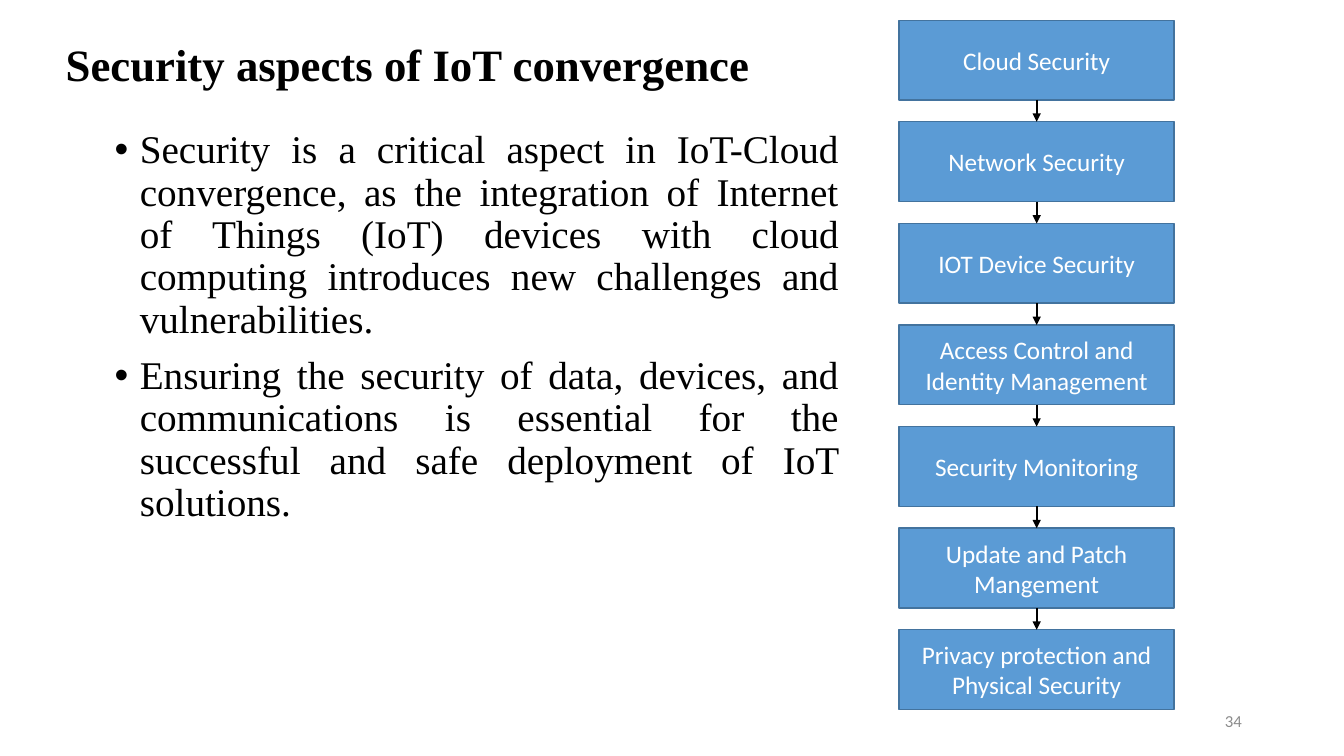
"""Build a slide on the security aspects of IoT convergence."""
from itertools import pairwise

from lxml import etree
from pptx import Presentation
from pptx import util as u
from pptx.dml.color import RGBColor
from pptx.enum import shapes, text
from pptx.oxml.ns import qn

TITLE = "Security aspects of IoT convergence"
POINTS = [
    "Security is a critical aspect in IoT-Cloud convergence, as the integration of "
    "Internet of Things (IoT) devices with cloud computing introduces new challenges "
    "and vulnerabilities.",
    "Ensuring the security of data, devices, and communications is essential for the "
    "successful and safe deployment of IoT solutions.",
]
LAYERS = [
    "Cloud Security",
    "Network Security",
    "IOT Device Security",
    "Access Control and Identity Management",
    "Security Monitoring",
    "Update and Patch Mangement",
    "Privacy protection and Physical Security",
]
PAGE = "34"
COLORS = {"ink": "000000", "box": "5B9BD5", "edge": "43739E", "label": "FFFFFF", "page": "8C8C8C"}
SERIF, SANS = "Times New Roman", "Calibri"

TITLE_AREA = (1.4, 0.23, 29.21, 2.92)
POINTS_AREA = (2.64, 3.15, 18.75, 12.09)
PAGE_AREA = (23.93, 17.65, 7.62, 1.02)
LAYER_LEFT, LAYER_TOP, LAYER_WIDTH, LAYER_HEIGHT = 22.66, 0.51, 6.93, 2.01
LAYER_PITCH = 2.56


def color(name):
    return RGBColor.from_string(COLORS[name])


def area(*lengths):
    return [u.Cm(length) for length in lengths]


def style(paragraph, size, face, ink, align, bold=False):
    paragraph.alignment = align
    for run in paragraph.runs:
        run.font.size = u.Pt(size)
        run.font.name = face
        run.font.bold = bold
        run.font.color.rgb = color(ink)


def add_bullet(paragraph):
    properties = paragraph._p.get_or_add_pPr()
    properties.set("marL", str(u.Cm(0.635)))
    properties.set("indent", str(u.Cm(-0.635)))
    etree.SubElement(properties, qn("a:buFont")).set("typeface", "Arial")
    etree.SubElement(properties, qn("a:buChar")).set("char", "•")


def add_title(slide):
    title = slide.shapes.title
    title.left, title.top, title.width, title.height = area(*TITLE_AREA)
    frame = title.text_frame
    frame.text = TITLE
    frame.auto_size = text.MSO_AUTO_SIZE.NONE
    frame.vertical_anchor = text.MSO_ANCHOR.MIDDLE
    frame.paragraphs[0].line_spacing = 0.9
    style(frame.paragraphs[0], 32, SERIF, "ink", text.PP_ALIGN.LEFT, bold=True)


def add_points(slide):
    frame = slide.shapes.add_textbox(*area(*POINTS_AREA)).text_frame
    frame.word_wrap = True
    frame.text = "\n".join(POINTS)
    for point in frame.paragraphs:
        point.line_spacing = 0.9
        point.space_before = u.Pt(10)
        style(point, 28, SERIF, "ink", text.PP_ALIGN.JUSTIFY)
        add_bullet(point)


def add_page(slide):
    frame = slide.shapes.add_textbox(*area(*PAGE_AREA)).text_frame
    frame.word_wrap = True
    frame.vertical_anchor = text.MSO_ANCHOR.MIDDLE
    frame.text = PAGE
    style(frame.paragraphs[0], 12, SANS, "page", text.PP_ALIGN.RIGHT)


def add_layer(slide, label, top):
    layer = slide.shapes.add_shape(
        shapes.MSO_SHAPE.RECTANGLE, *area(LAYER_LEFT, top, LAYER_WIDTH, LAYER_HEIGHT))
    layer.shadow.inherit = False
    layer.fill.solid()
    layer.fill.fore_color.rgb = color("box")
    layer.line.color.rgb = color("edge")
    layer.line.width = u.Pt(1)
    frame = layer.text_frame
    frame.word_wrap = True
    frame.vertical_anchor = text.MSO_ANCHOR.MIDDLE
    frame.text = label
    style(frame.paragraphs[0], 18, SANS, "label", text.PP_ALIGN.CENTER)
    return layer


def add_arrow(slide, upper, lower):
    arrow = slide.shapes.add_connector(shapes.MSO_CONNECTOR.STRAIGHT, 0, 0, 0, 0)
    arrow.begin_connect(upper, 2)
    arrow.end_connect(lower, 0)
    arrow.line.color.rgb = color("ink")
    arrow.line.width = u.Pt(1.5)
    etree.SubElement(arrow.line._get_or_add_ln(), qn("a:tailEnd")).set("type", "triangle")
    etree.SubElement(arrow._element.spPr, qn("a:effectLst"))


def main():
    deck = Presentation()
    deck.slide_width, deck.slide_height = area(33.87, 19.05)
    slide = deck.slides.add_slide(deck.slide_layouts[5])
    add_title(slide)
    add_points(slide)
    add_page(slide)
    layers = [add_layer(slide, label, LAYER_TOP + row * LAYER_PITCH)
              for row, label in enumerate(LAYERS)]
    for upper, lower in pairwise(layers):
        add_arrow(slide, upper, lower)
    deck.save("out.pptx")


if __name__ == "__main__":
    main()
